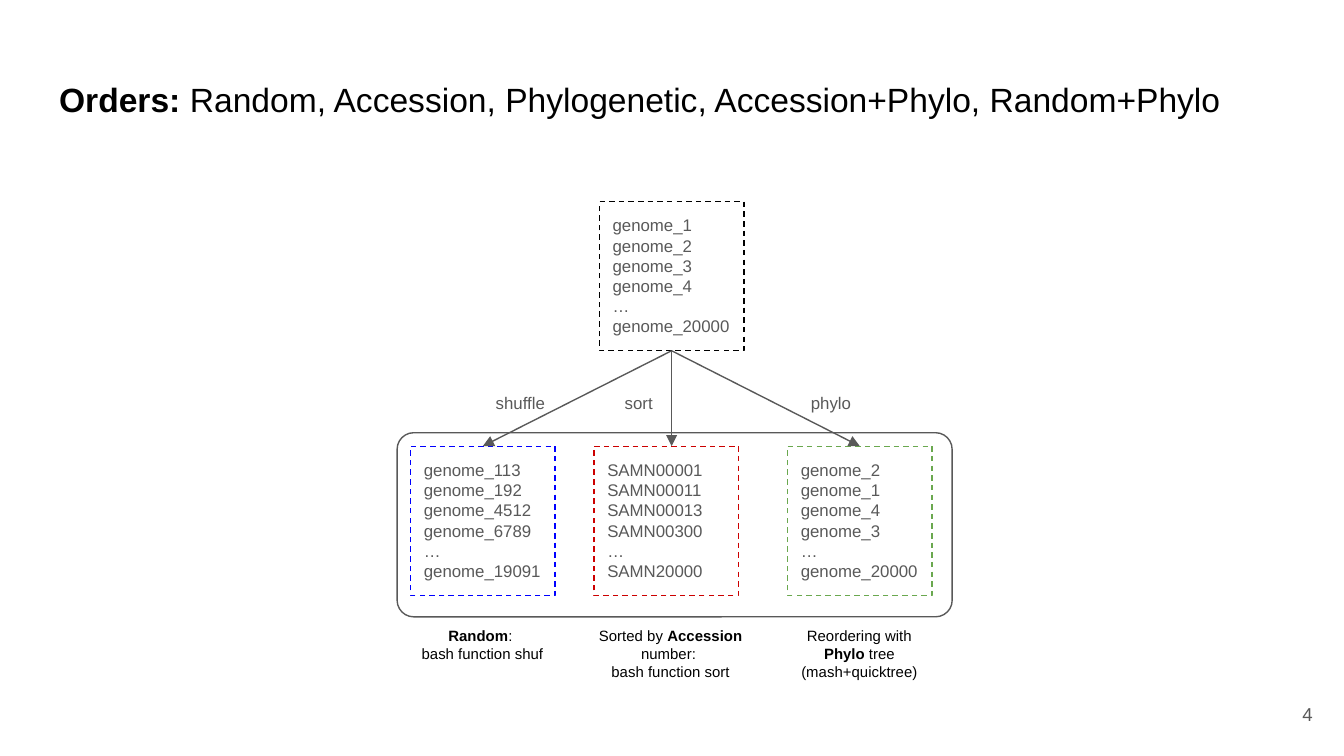
import pptx
import pptx.util
import pptx.dml.color
import pptx.enum.dml
import pptx.enum.shapes
import pptx.enum.text
import pptx.oxml
import pptx.oxml.ns

COLS, ROWS = 100, 56.25
CELL = pptx.util.Inches(0.1)
CARD = (10.75, 11.1)
INK = {"black": "000000", "grey": "595959", "blue": "0000FF",
       "red": "CC0000", "green": "6AA84F"}
KIND = pptx.enum.shapes.MSO_SHAPE
ALIGN = pptx.enum.text.PP_ALIGN
ANCHOR = pptx.enum.text.MSO_ANCHOR

LIST = ["genome_1", "genome_2", "genome_3", "genome_4", "…", "genome_20000"]
# Each order: card column, ink, list, label with its column and width,
# caption with its column, width and height; columns count from the panel.
ORDERS = [
    (1, "blue", ["genome_113", "genome_192", "genome_4512", "genome_6789",
                 "…", "genome_19091"],
     ("shuffle", 6.35, 6.8),
     (["*Random*: ", "bash function shuf"], -0.4, 13.5, 4.7)),
    (14.65, "red", ["SAMN00001", "SAMN00011", "SAMN00013", "SAMN00300",
                    "…", "SAMN20000"],
     ("sort", 15.95, 4.5),
     (["Sorted by *Accession* number: ", "bash function sort"],
      11.95, 16.8, 4.7)),
    (29.05, "green", ["genome_2", "genome_1", "genome_4", "genome_3",
                      "…", "genome_20000"],
     ("phylo", 29.8, 6.8),
     (["Reordering with *Phylo* tree (mash+quicktree)"], 29.05, 10.7, 6.1)),
]


def rgb(ink):
    return pptx.dml.color.RGBColor.from_string(INK[ink])


def span(*cells):
    """Turn grid cells into lengths."""
    return [round(cell * CELL) for cell in cells]


def write(shape, lines, size=9, ink="grey", align=ALIGN.LEFT,
          anchor=ANCHOR.TOP):
    """Fill a shape with paragraphs; *stars* enclose bold words."""
    frame = shape.text_frame
    frame.word_wrap = True
    frame.auto_size = pptx.enum.text.MSO_AUTO_SIZE.NONE
    frame.vertical_anchor = anchor
    frame.margin_left = frame.margin_right = CELL
    frame.margin_top = frame.margin_bottom = CELL
    for row, line in enumerate(lines):
        para = frame.add_paragraph() if row else frame.paragraphs[0]
        para.alignment = align
        for part, words in enumerate(line.split("*")):
            if words:
                run = para.add_run()
                run.text = words
                run.font.name = "Arial"
                run.font.size = pptx.util.Pt(size)
                run.font.bold = part % 2 == 1
                run.font.color.rgb = rgb(ink)


def note(slide, box, lines, **style):
    write(slide.shapes.add_textbox(*span(*box)), lines, **style)


def frame(slide, box, kind, ink):
    """Draw an unfilled outline."""
    shape = slide.shapes.add_shape(kind, *span(*box))
    shape.shadow.inherit = False
    shape.fill.background()
    shape.line.color.rgb = rgb(ink)
    shape.line.width = pptx.util.Pt(0.75)
    return shape


def card(slide, left, top, lines, ink):
    shape = frame(slide, (left, top, *CARD), KIND.RECTANGLE, ink)
    shape.line.dash_style = pptx.enum.dml.MSO_LINE.DASH
    write(shape, lines)
    return shape


def arrow(slide, start, end, drop=False):
    """Point from the foot of a card to another's top, or straight down."""
    foot = start.left + start.width // 2
    line = slide.shapes.add_connector(
        pptx.enum.shapes.MSO_CONNECTOR.STRAIGHT,
        foot, start.top + start.height, foot, end.top)
    line.begin_connect(start, 2)
    if not drop:
        line.end_connect(end, 0)
    line.line.color.rgb = rgb("grey")
    line.line.width = pptx.util.Pt(0.75)
    tip = pptx.oxml.parse_xml(
        '<a:tailEnd %s type="triangle"/>' % pptx.oxml.ns.nsdecls("a"))
    line.line._get_or_add_ln().append(tip)
    line._element.spPr.append(pptx.oxml.parse_xml(
        "<a:effectLst %s/>" % pptx.oxml.ns.nsdecls("a")))


def head(slide, box):
    title = slide.shapes.title
    title.left, title.top, title.width, title.height = span(*box)
    write(title, ["*Orders:* Random, Accession, Phylogenetic, "
                  "Accession+Phylo, Random+Phylo"], size=18, ink="black")


def panel(slide, box, source):
    """Draw the three orders made from the source list."""
    left, top, wide, high = box
    shape = frame(slide, box, KIND.ROUNDED_RECTANGLE, "grey")
    shape.adjustments[0] = 0.09
    for col, ink, lines, (label, lcol, lwide), caption in ORDERS:
        order = card(slide, left + col, top + 1, lines, ink)
        # The middle card sits a little left of the source.
        arrow(slide, source, order, drop=label == "sort")
        note(slide, (left + lcol, top - 3.95, lwide, 3.5), [label])
        words, ccol, cwide, chigh = caption
        note(slide, (left + ccol, top + high - 0.25, cwide, chigh), words,
             size=8, ink="black", align=ALIGN.CENTER)


def main():
    deck = pptx.Presentation()
    deck.slide_width, deck.slide_height = span(COLS, ROWS)
    slide = deck.slides.add_slide(deck.slide_layouts[5])
    head(slide, (3.4, 4.9, 93.2, 6.3))
    source = card(slide, 44.6, 15, LIST, "black")
    panel(slide, (29.55, 32.2, 41.3, 13.7), source)
    note(slide, (92.65, 51, 6, 4.3), ["4"], size=10, align=ALIGN.RIGHT,
         anchor=ANCHOR.MIDDLE)
    deck.save("out.pptx")


if __name__ == "__main__":
    main()
